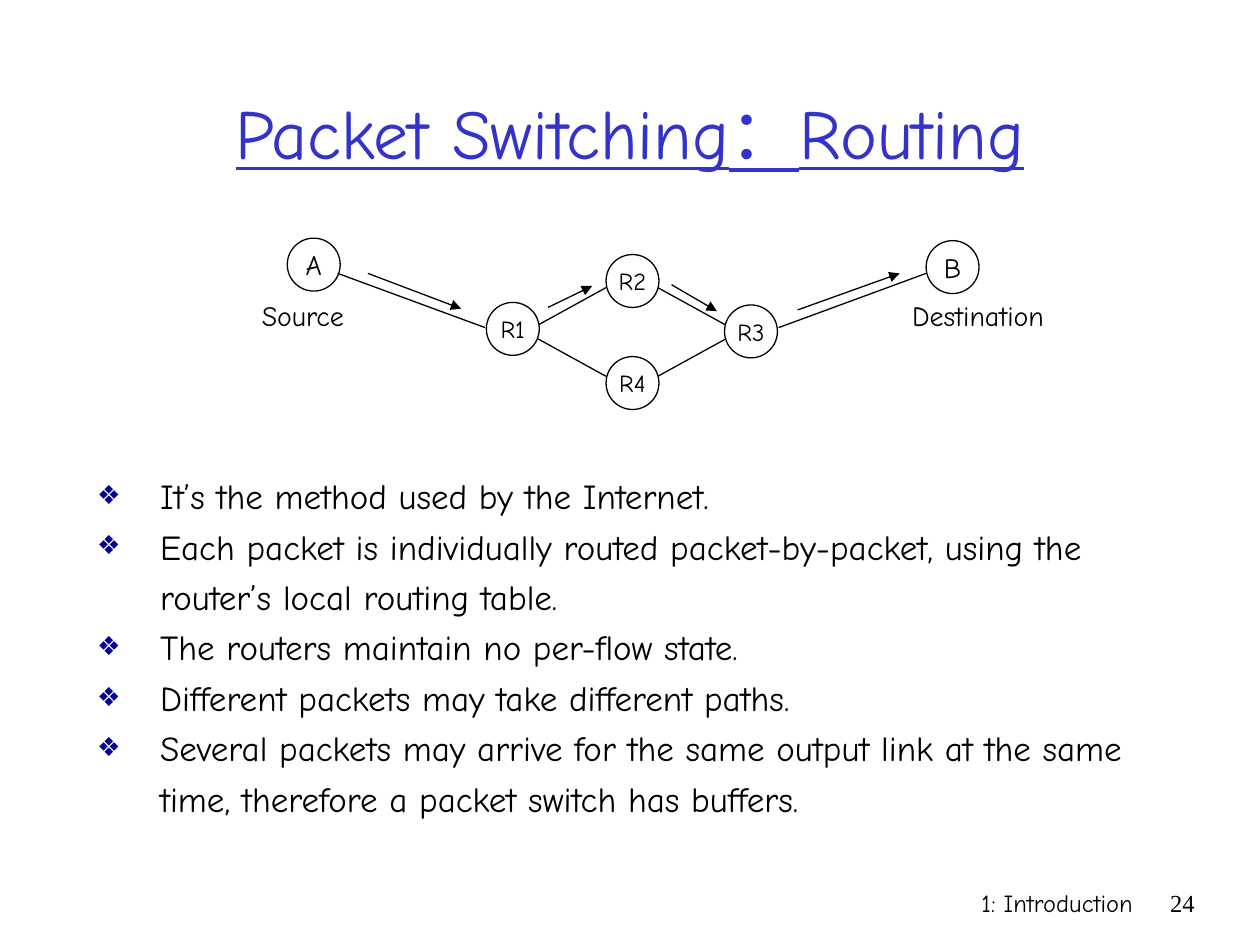
from lxml import etree
from pptx import Presentation
from pptx.dml.color import RGBColor
from pptx.enum.shapes import MSO_CONNECTOR, MSO_SHAPE
from pptx.enum.text import MSO_ANCHOR, MSO_AUTO_SIZE, PP_ALIGN
from pptx.oxml.ns import qn
from pptx.util import Inches, Pt

LEFT, CENTER, RIGHT = PP_ALIGN.LEFT, PP_ALIGN.CENTER, PP_ALIGN.RIGHT
TOP, MIDDLE = MSO_ANCHOR.TOP, MSO_ANCHOR.MIDDLE
BLACK = RGBColor(0x00, 0x00, 0x00)
WHITE = RGBColor(0xFF, 0xFF, 0xFF)
TITLE_BLUE = RGBColor(0x33, 0x33, 0xCC)
BULLET_BLUE = RGBColor(0x00, 0x00, 0x99)
COMIC, TIMES = "Comic Neue", "Times New Roman"

# Content
TITLE = "Packet Switching：Routing"
POINTS = [
    "It’s the method used by the Internet.",
    "Each packet is individually routed packet-by-packet, using the "
    "router’s local routing table.",
    "The routers maintain no per-flow state.",
    "Different packets may take different paths.",
    "Several packets may arrive for the same output link at the same time, "
    "therefore a packet switch has buffers.",
]
NODE_SIZE = 0.42
NODES = [  # name, left, top, text size
    ("A", 2.28, 1.89, 16),
    ("R1", 3.86, 2.4, 14),
    ("R2", 4.81, 2.02, 14),
    ("R4", 4.81, 2.83, 14),
    ("R3", 5.75, 2.42, 14),
    ("B", 7.35, 1.91, 16),
]
LINKS = [((2.68, 2.17), (3.85, 2.6)), ((6.18, 2.6), (7.35, 2.17))]
PACKET_ARROWS = [
    ((2.92, 2.17), (3.66, 2.45)),
    ((4.35, 2.44), (4.7, 2.27)),
    ((5.33, 2.26), (5.69, 2.47)),
    ((6.33, 2.46), (7.14, 2.17)),
]
LABELS = [  # text, (left, top, width, height), size, font, alignment
    ("Source", (1.98, 2.32, 1.06, 0.37), 16, COMIC, LEFT),
    ("Destination", (7.14, 2.32, 1.61, 0.37), 16, COMIC, LEFT),
    ("1: Introduction", (5.92, 7, 3.17, 0.5), 14, COMIC, RIGHT),
    ("24", (9.08, 7, 0.5, 0.5), 14, TIMES, RIGHT),
]

deck = Presentation()
deck.slide_width, deck.slide_height = Inches(10), Inches(7.5)
page = deck.slides.add_slide(deck.slide_layouts[1])


def place(shape, left, top, width, height):
    shape.left, shape.top = Inches(left), Inches(top)
    shape.width, shape.height = Inches(width), Inches(height)


def write(para, text, size, font=COMIC, color=BLACK, align=LEFT, underline=None):
    para.alignment = align
    span = para.add_run()
    span.text = text
    span.font.size, span.font.name = Pt(size), font
    span.font.color.rgb = color
    span.font.underline = underline


def add_bullet(para):
    properties = para._p.get_or_add_pPr()
    properties.set("marL", str(Inches(0.5)))
    properties.set("indent", str(Inches(-0.5)))
    bullet_color = etree.SubElement(properties, qn("a:buClr"))
    etree.SubElement(bullet_color, qn("a:srgbClr"), val=str(BULLET_BLUE))
    etree.SubElement(properties, qn("a:buSzPct"), val="75000")
    etree.SubElement(properties, qn("a:buChar"), char="❖")


def add_outline(kind, left, top, width, height):
    shape = page.shapes.add_shape(
        kind, Inches(left), Inches(top), Inches(width), Inches(height))
    shape.shadow.inherit = False
    shape.fill.solid()
    shape.fill.fore_color.rgb = WHITE
    shape.line.color.rgb = BLACK
    shape.line.width = Pt(0.75)
    return shape


def add_line(start, end, arrow=False):
    line = page.shapes.add_connector(
        MSO_CONNECTOR.STRAIGHT, *(Inches(value) for value in start + end))
    line.line.color.rgb = BLACK
    line.line.width = Pt(0.75)
    if arrow:
        etree.SubElement(line.line._get_or_add_ln(), qn("a:tailEnd"), type="triangle")
    etree.SubElement(line._element.spPr, qn("a:effectLst"))


# Title
title = page.shapes.title
place(title, 0.75, 0.42, 8.5, 1.25)
title.text_frame.vertical_anchor = MIDDLE
title.text_frame.auto_size = MSO_AUTO_SIZE.NONE
write(title.text_frame.paragraphs[0], TITLE, 40, color=TITLE_BLUE,
      align=CENTER, underline=True)

# Bullet list
body = page.placeholders[1]
place(body, 0.67, 3.65, 8.67, 2.9)
frame = body.text_frame
frame.vertical_anchor, frame.auto_size = TOP, MSO_AUTO_SIZE.NONE
for index, point in enumerate(POINTS):
    para = frame.add_paragraph() if index else frame.paragraphs[0]
    para.line_spacing = 1.2
    para.space_before = Pt(0)
    add_bullet(para)
    write(para, point, 20)

# Network: the diamond links the four routers
add_outline(MSO_SHAPE.FLOWCHART_DECISION, 4.17, 2.17, 1.69, 0.93)
for name, left, top, size in NODES:
    node = add_outline(MSO_SHAPE.OVAL, left, top, NODE_SIZE, NODE_SIZE)
    frame = node.text_frame
    frame.margin_left = frame.margin_right = 0
    frame.margin_top = frame.margin_bottom = 0
    frame.word_wrap, frame.vertical_anchor = False, MIDDLE
    write(frame.paragraphs[0], name, size, align=CENTER)
for start, end in LINKS:
    add_line(start, end)
for start, end in PACKET_ARROWS:
    add_line(start, end, arrow=True)

# Host labels and footer
for text, area, size, font, align in LABELS:
    box = page.shapes.add_textbox(*(Inches(value) for value in area))
    box.text_frame.word_wrap = True
    write(box.text_frame.paragraphs[0], text, size, font, align=align)

deck.save("out.pptx")
